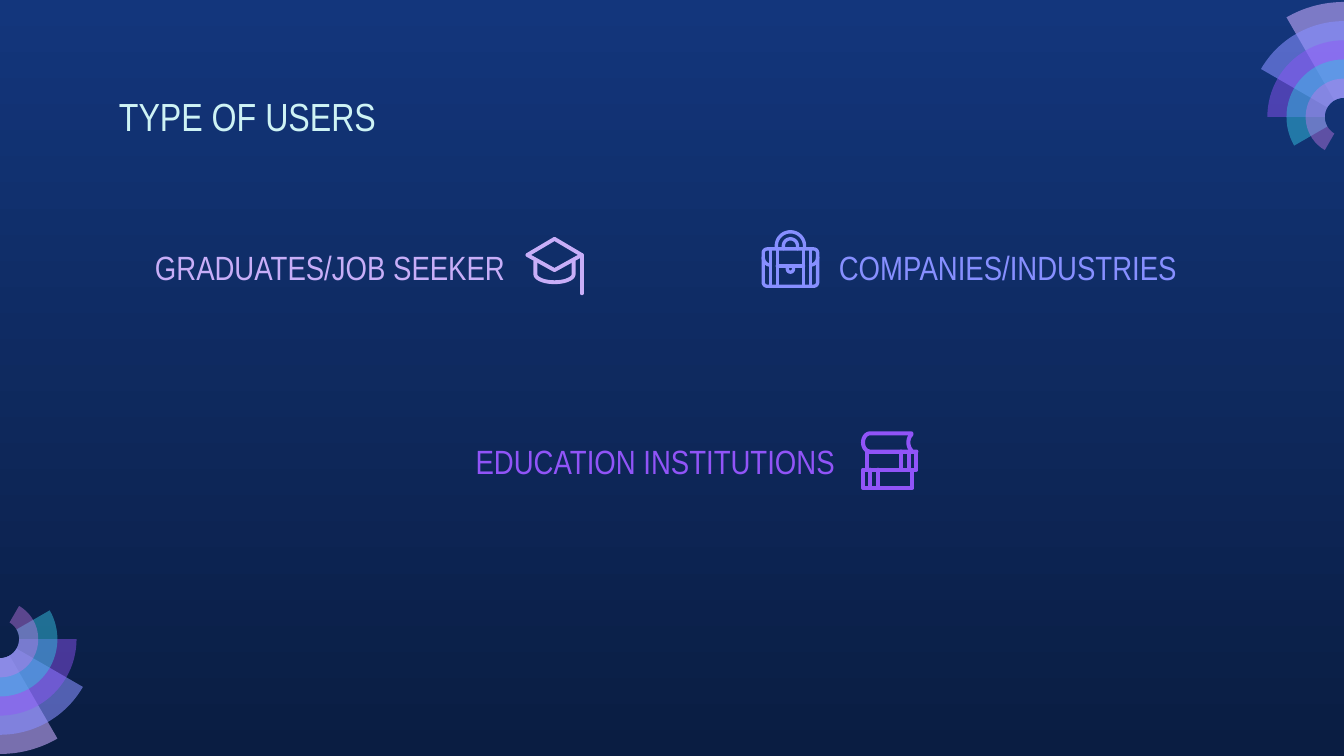
from math import cos, radians, sin

from pptx import Presentation
from pptx import util as u
from pptx.dml.color import RGBColor
from pptx.enum import text as t
from pptx.oxml import ns
from pptx.oxml.xmlchemy import OxmlElement

FONT = "Arial Narrow"
LILAC, BLUE, VIOLET = "C8AEF8", "878FFF", "9154F8"
RINGS = [("C8ACFD", 58), (BLUE, 58), (VIOLET, 46), ("35C2DF", 49), ("CA7BEB", 42)]


def hue(code):
    """Turn a hex string into a colour."""
    return RGBColor.from_string(code)


def arc(x, y, rx, ry, start, end, steps=24):
    """List points along an elliptic arc, in degrees clockwise from the right."""
    turns = [radians(start + (end - start) * i / steps) for i in range(steps + 1)]
    return [(x + rx * cos(a), y + ry * sin(a)) for a in turns]


def trace(slide, left, top, runs, close):
    """Draw point lists as one freeform, offset by left and top."""
    runs = [[(u.Inches(left + x), u.Inches(top + y)) for x, y in run] for run in runs]
    pen = slide.shapes.build_freeform(*runs[0][0], scale=1.0)
    for i, run in enumerate(runs):
        if i:
            pen.move_to(*run[0])
        pen.add_line_segments(run[1:], close=close)
    shape = pen.convert_to_shape()
    shape.shadow.inherit = False
    return shape


def fan(slide, x, y, start):
    """Draw five translucent ring sectors around a centre."""
    hole, step = 0.19, 0.19
    for i, (code, alpha) in enumerate(RINGS):
        size = hole + step * (len(RINGS) - i)
        end = start - 30 * (i + 1)
        edge = arc(0, 0, size, size, start, end) + arc(0, 0, hole, hole, end, start)
        shape = trace(slide, x, y, [edge], True)
        shape.fill.solid()
        shape.fill.fore_color.rgb = hue(code)
        shape.line.fill.background()
        node = OxmlElement("a:alpha")
        node.set("val", str(alpha * 1000))
        shape.element.spPr.find(".//" + ns.qn("a:srgbClr")).append(node)


def icon(slide, left, top, runs, code, width):
    """Draw a line icon with round ends and joins."""
    shape = trace(slide, left, top, runs, False)
    shape.fill.background()
    shape.line.color.rgb = hue(code)
    shape.line.width = u.Pt(width)
    line = shape.element.spPr.find(ns.qn("a:ln"))
    line.set("cap", "rnd")
    line.append(OxmlElement("a:round"))


def cap(slide, left, top):
    """Draw the graduation cap."""
    board = [(0.29, 0.02), (0.56, 0.18), (0.29, 0.33), (0.02, 0.18), (0.29, 0.02)]
    bowl = [(0.1, 0.24)] + arc(0.29, 0.37, 0.19, 0.08, 180, 0) + [(0.48, 0.24)]
    tassel = [(0.56, 0.18), (0.56, 0.56)]
    icon(slide, left, top, [board, bowl, tassel], LILAC, 2.75)


def bag(slide, left, top):
    """Draw the school bag."""
    low, high, r, mid = 0.02, 0.56, 0.04, 0.29
    body = []
    for x, y, a in [(low + r, 0.19 + r, 180), (high - r, 0.19 + r, 270),
                    (high - r, high - r, 0), (low + r, high - r, 90)]:
        body += arc(x, y, r, r, a, a + 90, 6)
    body.append(body[0])
    grips = [[(mid - s, 0.19)] + arc(mid, 0.16, s, s, 180, 360) + [(mid + s, 0.19)]
             for s in (0.14, 0.07)]
    seams = [[(x, 0.19), (x, high)] for x in (0.09, 0.16, 0.42, 0.49)]
    flap = [(0.16, 0.36), (0.42, 0.36)]
    clasp = [(mid - 0.03, 0.36)] + arc(mid, 0.39, 0.03, 0.03, 180, 0) + [(mid + 0.03, 0.36)]
    sides = [arc(0.09, 0.27, 0.07, 0.08, 180, 90, 8), arc(0.49, 0.27, 0.07, 0.08, 0, 90, 8)]
    icon(slide, left, top, [body, *grips, *seams, flap, clasp, *sides], BLUE, 2.4)


def books(slide, left, top):
    """Draw the stack of books."""
    cover = [(0.51, 0.02)] + arc(0.1, 0.11, 0.07, 0.09, 270, 90) + [(0.56, 0.2)]
    pages = arc(0.54, 0.11, 0.06, 0.09, 240, 120)
    rows = [[(a, b), (c, b), (c, d), (a, d), (a, b)]
            for a, b, c, d in [(0.07, 0.2, 0.56, 0.38), (0.03, 0.38, 0.52, 0.56)]]
    bands = [[(x, y), (x, y + 0.18)]
             for x, y in [(0.41, 0.2), (0.49, 0.2), (0.1, 0.38), (0.18, 0.38)]]
    icon(slide, left, top, [cover, pages, *rows, *bands], VIOLET, 2.9)


def label(slide, box, words, size, code, align=t.PP_ALIGN.LEFT, anchor=t.MSO_ANCHOR.MIDDLE):
    """Place one line of coloured text in a box."""
    frame = slide.shapes.add_textbox(*map(u.Inches, box)).text_frame
    frame.word_wrap = True
    frame.vertical_anchor = anchor
    frame.margin_left = frame.margin_right = u.Inches(0.13)
    frame.margin_top = frame.margin_bottom = u.Inches(0.13)
    frame.text = words
    para = frame.paragraphs[0]
    para.alignment = align
    font = para.runs[0].font
    font.name, font.size, font.color.rgb = FONT, u.Pt(size), hue(code)


def backdrop(slide):
    """Fill the background from blue at the top to navy."""
    fill = slide.background.fill
    fill.gradient()
    fill.gradient_angle = 270
    for stop, code in zip(fill.gradient_stops, ("13367C", "0A1D42")):
        stop.color.rgb = hue(code)


def main():
    """Build the slide of user types."""
    deck = Presentation()
    deck.slide_width, deck.slide_height = u.Inches(13.33), u.Inches(7.5)
    slide = deck.slides.add_slide(deck.slide_layouts[6])
    backdrop(slide)
    fan(slide, 13.33, 1.16, 270)
    fan(slide, 0, 6.34, 90)
    label(slide, (1.05, 0.79, 11.23, 0.84), "TYPE OF USERS", 28, "CEF3F5",
          anchor=t.MSO_ANCHOR.TOP)
    right = t.PP_ALIGN.RIGHT
    label(slide, (0.31, 2.36, 4.83, 0.57), "GRADUATES/JOB SEEKER", 24, LILAC, right)
    label(slide, (8.19, 2.36, 4.45, 0.57), "COMPANIES/INDUSTRIES", 24, BLUE)
    label(slide, (2.52, 4.29, 5.89, 0.57), "EDUCATION INSTITUTIONS", 24, VIOLET, right)
    cap(slide, 5.21, 2.35)
    bag(slide, 7.55, 2.28)
    books(slide, 8.53, 4.28)
    deck.save("out.pptx")


if __name__ == "__main__":
    main()
